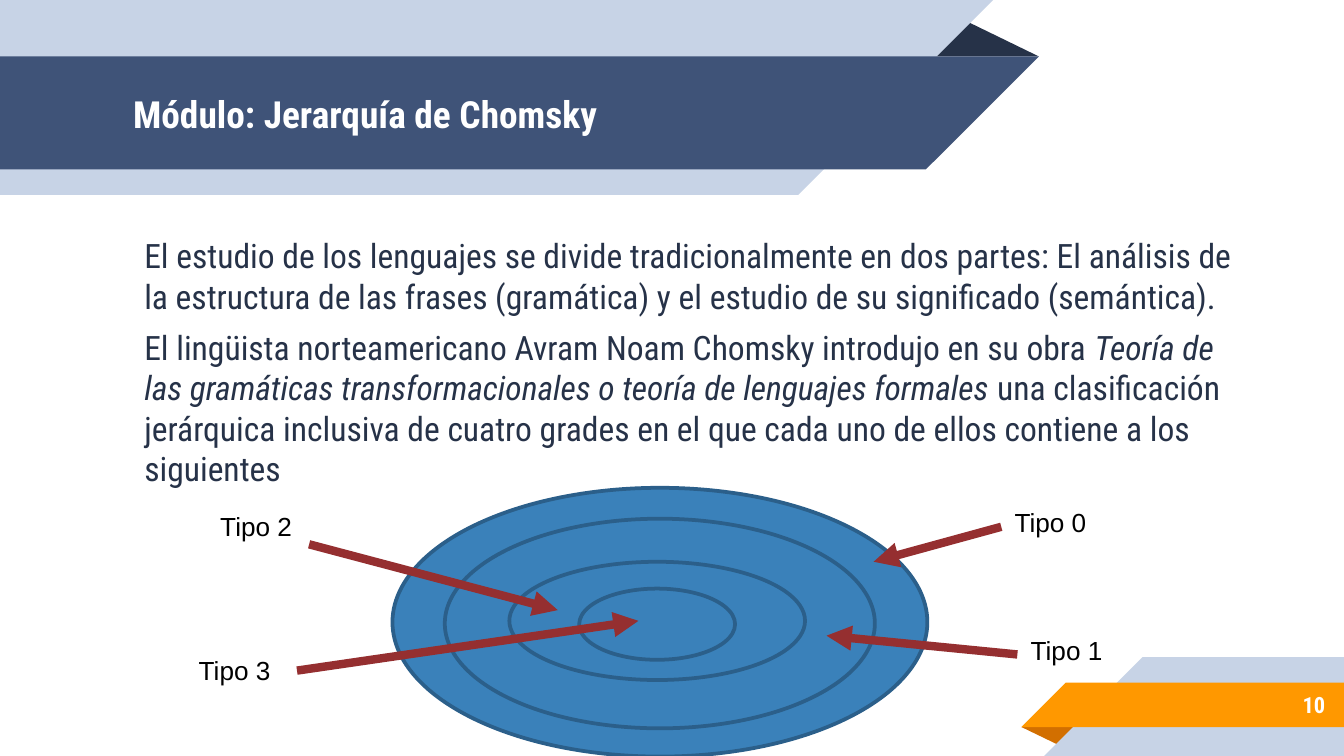
from lxml import etree
from pptx import Presentation
from pptx import util as u
from pptx.dml.color import RGBColor
from pptx.enum import shapes, text
from pptx.oxml.ns import qn

THEME = {
    "pale": "C7D3E6", "navy": "3F5378", "ink": "263248",
    "orange": "FF9800", "rust": "D26F00", "white": "FFFFFF", "black": "000000",
    "oval": "3A81BA", "rim": "2B5F8A", "arrow": "952F30",
    "font": "Roboto Condensed", "label_font": "Arial",
    "title": 20, "body": 18, "label": 14, "number": 12,
}

# Grid of 100 columns by 56.25 rows, with square cells
COLS, ROWS = 100, 56.25
CELL = u.Inches(0.1)
INSET = 1

prs = Presentation()
prs.slide_width, prs.slide_height = int(COLS * CELL), int(ROWS * CELL)
s = prs.slides.add_slide(prs.slide_layouts[5])


def grid(*cells):
    return [round(c * CELL) for c in cells]


def add_run(p, words, size, color, font=THEME["font"], bold=False, italic=False):
    r = p.add_run()
    r.text = words
    r.font.size, r.font.name = u.Pt(size), font
    r.font.bold, r.font.italic = bold, italic
    r.font.color.rgb = RGBColor.from_string(color)


# Ribbons: header and footer, from back to front
ribbons = [
    ("ink", [(68.8, 4.2), (71.55, 1.4), (77.3, 4.2)]),
    ("pale", [(0, 0), (73.9, 0), (59.4, 14.5), (0, 14.5)]),
    ("navy", [(0, 4.2), (77.3, 4.2), (68.9, 12.6), (0, 12.6)]),
    ("rust", [(76, 54.1), (80.3, 54.1), (78.9, 55.5)]),
    ("pale", [(85, 48.9), (COLS, 48.9), (COLS, ROWS), (77.7, ROWS)]),
    ("orange", [(79.3, 50.8), (COLS, 50.8), (COLS, 54.1), (76, 54.1)]),
]
for color, corners in ribbons:
    start, *others = [grid(*corner) for corner in corners]
    pen = s.shapes.build_freeform(*start)
    pen.add_line_segments(others, close=True)
    sp = pen.convert_to_shape()
    sp.shadow.inherit = False
    sp.fill.solid()
    sp.fill.fore_color.rgb = RGBColor.from_string(THEME[color])
    sp.line.fill.background()

# Title, raised above the ribbons
title = s.shapes.title
s.shapes._spTree.append(title._element)
title.left, title.top, title.width, title.height = grid(8.9, 4.25, 60.1, 8.4)

# Body and slide number
body = s.shapes.add_textbox(*grid(8.9, 17.5, 85.1, 33.8))
number = s.shapes.add_textbox(*grid(83.3, 50.7, 16.3, 3.5))
for sp, anchor in [(title, text.MSO_ANCHOR.MIDDLE), (body, text.MSO_ANCHOR.TOP),
                   (number, text.MSO_ANCHOR.MIDDLE)]:
    tf = sp.text_frame
    tf.word_wrap, tf.vertical_anchor = True, anchor
    tf.auto_size = text.MSO_AUTO_SIZE.NONE
    tf.margin_left, tf.margin_top, tf.margin_right, tf.margin_bottom = grid(*[INSET] * 4)
body.text_frame.margin_top = 0

p = title.text_frame.paragraphs[0]
p.alignment = text.PP_ALIGN.LEFT
add_run(p, "Módulo: Jerarquía de Chomsky", THEME["title"], THEME["white"], bold=True)

p = number.text_frame.paragraphs[0]
p.alignment = text.PP_ALIGN.RIGHT
add_run(p, "10", THEME["number"], THEME["white"], bold=True)

paragraphs = [
    [("El estudio de los lenguajes se divide tradicionalmente en dos partes: El análisis "
      "de la estructura de las frases (gramática) y el estudio de su significado "
      "(semántica).", False)],
    [("El lingüista norteamericano Avram Noam Chomsky introdujo en su obra ", False),
     ("Teoría de las gramáticas transformacionales o teoría de lenguajes formales ", True),
     ("una clasificación jerárquica inclusiva de cuatro grades en el que cada uno de "
      "ellos contiene a los siguientes", False)],
]
tf = body.text_frame
for i, runs in enumerate(paragraphs):
    p = tf.add_paragraph() if i else tf.paragraphs[0]
    p.space_before = u.Pt(6)
    p._p.get_or_add_pPr().set("marL", str(round(0.85 * CELL)))
    for words, italic in runs:
        add_run(p, words, THEME["body"], THEME["ink"], italic=italic)

# Nested language classes, outermost first
ovals = [(29.2, 36.3, 39.8, 20), (33.1, 38.6, 32, 15.6),
         (37.9, 41.8, 22, 8.8), (43.1, 43.8, 11.6, 5.3)]
for box in ovals:
    sp = s.shapes.add_shape(shapes.MSO_SHAPE.OVAL, *grid(*box))
    sp.shadow.inherit = False
    sp.fill.solid()
    sp.fill.fore_color.rgb = RGBColor.from_string(THEME["oval"])
    sp.line.color.rgb = RGBColor.from_string(THEME["rim"])
    sp.line.width = u.Pt(2)

# Labels with their arrows: label corner, arrow start and end
types = [
    ("Tipo 0", (74.5, 37.2), (74.5, 39.2, 65, 41.8)),
    ("Tipo 1", (75.7, 46.7), (75.7, 48.7, 61.5, 47.3)),
    ("Tipo 2", (15.4, 37.5), (23, 40.5, 41.5, 45.4)),
    ("Tipo 3", (13.8, 48.2), (22.1, 49.9, 47.5, 46.2)),
]
for name, corner, ends in types:
    arrow = s.shapes.add_connector(shapes.MSO_CONNECTOR.STRAIGHT, *grid(*ends))
    arrow.line.color.rgb = RGBColor.from_string(THEME["arrow"])
    arrow.line.width = u.Pt(4.5)
    etree.SubElement(arrow.line._get_or_add_ln(), qn("a:tailEnd"), type="triangle")
    etree.SubElement(arrow._element.spPr, qn("a:effectLst"))

    label = s.shapes.add_textbox(*grid(*corner, 7.5, 3.4))
    tf = label.text_frame
    tf.word_wrap, tf.auto_size = False, text.MSO_AUTO_SIZE.SHAPE_TO_FIT_TEXT
    add_run(tf.paragraphs[0], name, THEME["label"], THEME["black"], THEME["label_font"])

prs.save("out.pptx")
